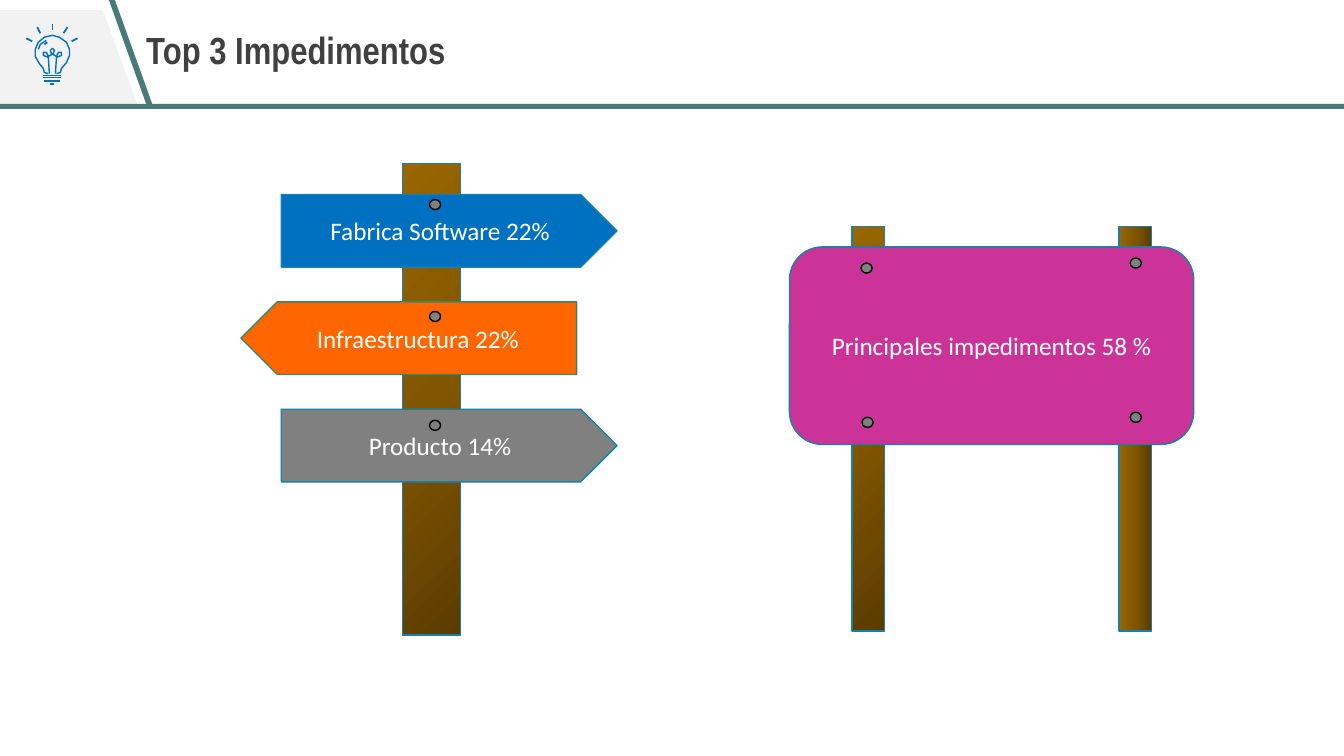
from copy import deepcopy

from lxml.etree import SubElement
from pptx import Presentation
from pptx.dml.color import RGBColor
from pptx.enum.shapes import MSO_CONNECTOR, MSO_SHAPE
from pptx.enum.text import MSO_ANCHOR, PP_ALIGN
from pptx.oxml.ns import qn
from pptx.util import Inches, Pt

WHITE = RGBColor(0xFF, 0xFF, 0xFF)
BLACK = RGBColor(0, 0, 0)
PALE_GREY = RGBColor(0xF2, 0xF2, 0xF2)
GREY = RGBColor(0x80, 0x80, 0x80)
DARK_GREY = RGBColor(0x40, 0x40, 0x40)
TEAL = RGBColor(0x48, 0x7B, 0x78)
BLUE = RGBColor(0x00, 0x70, 0xC0)
ORANGE = RGBColor(0xFF, 0x66, 0x00)
MAGENTA = RGBColor(0xCC, 0x33, 0x99)
EDGE = RGBColor(0x15, 0x80, 0xA9)
GREEN_EDGE = RGBColor(0x31, 0x8A, 0x70)
WOOD = [RGBColor(0x5B, 0x3C, 0x00), RGBColor(0x81, 0x56, 0x00), RGBColor(0x99, 0x66, 0x00)]

BULB_GLASS = [
    (0.48, 0.73), (0.44, 0.72), (0.43, 0.68), (0.39, 0.63), (0.35, 0.56), (0.35, 0.49),
    (0.38, 0.42), (0.44, 0.37), (0.52, 0.35), (0.59, 0.37), (0.66, 0.42), (0.69, 0.49),
    (0.69, 0.55), (0.66, 0.62), (0.61, 0.68), (0.6, 0.72), (0.56, 0.73),
]
BULB_FILAMENT = [
    (0.49, 0.73), (0.48, 0.57), (0.43, 0.55), (0.43, 0.52), (0.46, 0.52), (0.48, 0.56),
    (0.53, 0.53), (0.54, 0.5), (0.52, 0.48), (0.5, 0.5), (0.51, 0.53), (0.56, 0.56),
    (0.58, 0.52), (0.61, 0.52), (0.61, 0.55), (0.56, 0.57), (0.55, 0.73),
]
BULB_GLINT = [(0.38, 0.49), (0.4, 0.44), (0.46, 0.4)]
BULB_STROKES = [
    (0.77, 0.38, 0.71, 0.41), (0.67, 0.27, 0.63, 0.33), (0.52, 0.24, 0.52, 0.3),
    (0.37, 0.27, 0.4, 0.33), (0.26, 0.38, 0.32, 0.41), (0.44, 0.44, 0.47, 0.42),
    (0.43, 0.75, 0.61, 0.75), (0.43, 0.77, 0.61, 0.77), (0.44, 0.8, 0.6, 0.8),
    (0.5, 0.83, 0.54, 0.83),
]


class SignSlide:
    """Draws signposts, boards and header parts on one slide in a shared style."""

    def __init__(self, deck):
        self.slide = deck.slides.add_slide(deck.slide_layouts[5])
        self.shapes = self.slide.shapes

    def title(self, text):
        heading = self.shapes.title
        heading.left, heading.top = Inches(1.27), Inches(0)
        heading.width, heading.height = Inches(9.27), Inches(1.03)
        frame = heading.text_frame
        frame.text = text
        frame.margin_left = Inches(0.18)
        frame.vertical_anchor = MSO_ANCHOR.MIDDLE
        paragraph = frame.paragraphs[0]
        paragraph.alignment = PP_ALIGN.LEFT
        paragraph.line_spacing = 0.9
        self.font(paragraph, "Arial Narrow", 27, DARK_GREY, True)

    def font(self, paragraph, name, size, color, bold=False):
        for run in paragraph.runs:
            run.font.name, run.font.size, run.font.bold = name, Pt(size), bold
            run.font.color.rgb = color

    def paint(self, shape, fill, edge, weight=1):
        shape.shadow.inherit = False
        if fill is None:
            shape.fill.background()
        else:
            shape.fill.solid()
            shape.fill.fore_color.rgb = fill
        if edge is None:
            shape.line.fill.background()
        else:
            shape.line.color.rgb = edge
            shape.line.width = Pt(weight)

    def block(self, kind, left, top, width, height, fill, edge=None):
        shape = self.shapes.add_shape(
            kind, Inches(left), Inches(top), Inches(width), Inches(height))
        self.paint(shape, fill, edge)
        return shape

    def outline(self, points, fill=None, edge=None, close=True):
        corners = [(Inches(x), Inches(y)) for x, y in points]
        builder = self.shapes.build_freeform(*corners[0])
        builder.add_line_segments(corners[1:], close=close)
        self.paint(builder.convert_to_shape(), fill, edge)

    def stroke(self, x1, y1, x2, y2):
        ray = self.shapes.add_connector(
            MSO_CONNECTOR.STRAIGHT, Inches(x1), Inches(y1), Inches(x2), Inches(y2))
        ray.line.color.rgb = BLUE
        ray.line.width = Pt(1.25)
        SubElement(ray._element.spPr, qn("a:effectLst"))

    def post(self, left, top, width, height, angle=135):
        wood = self.block(MSO_SHAPE.RECTANGLE, left, top, width, height, WOOD[0], EDGE)
        wood.fill.gradient()
        wood.fill.gradient_angle = angle
        stops = wood._element.spPr.find(qn("a:gradFill")).find(qn("a:gsLst"))
        stops.insert(1, deepcopy(stops[0]))
        for stop, color, position in zip(wood.fill.gradient_stops, WOOD, (0, 0.5, 1)):
            stop.color.rgb = color
            stop.position = position

    def sign(self, kind, left, top, width, height, text, fill, edge=EDGE, flip=False):
        board = self.block(kind, left, top, width, height, fill, edge)
        if flip:
            board._element.spPr.find(qn("a:xfrm")).set("flipH", "1")
        frame = board.text_frame
        frame.text = text
        frame.word_wrap = True
        frame.vertical_anchor = MSO_ANCHOR.MIDDLE
        frame.paragraphs[0].alignment = PP_ALIGN.CENTER
        self.font(frame.paragraphs[0], "Calibri", 18, WHITE)

    def nail(self, left, top):
        self.block(MSO_SHAPE.OVAL, left, top, 0.11, 0.1, GREY, BLACK)


def main():
    deck = Presentation()
    deck.slide_width, deck.slide_height = Inches(13.33), Inches(7.5)
    page = SignSlide(deck)

    page.outline([(0, 0.1), (1.02, 0.1), (1.36, 1.03), (0, 1.03)], PALE_GREY)
    page.outline(BULB_GLASS, edge=BLUE, close=False)
    page.outline(BULB_FILAMENT, edge=BLUE, close=False)
    page.outline(BULB_GLINT, edge=BLUE, close=False)
    for ends in BULB_STROKES:
        page.stroke(*ends)
    page.block(MSO_SHAPE.RECTANGLE, 0, 1.03, 13.33, 0.05, TEAL)
    page.outline([(1.08, 0), (1.14, 0), (1.51, 1.03), (1.45, 1.03)], TEAL)
    page.title("Top 3 Impedimentos")

    page.post(11.1, 2.25, 0.32, 4.01, angle=180)
    page.post(8.45, 2.25, 0.32, 4.01)
    page.sign(MSO_SHAPE.ROUNDED_RECTANGLE, 7.83, 2.45, 4.01, 1.96,
              "Principales impedimentos 58 %", MAGENTA)
    for left, top in [(8.54, 2.61), (11.21, 2.56), (8.55, 4.14), (11.21, 4.09)]:
        page.nail(left, top)

    page.post(3.99, 1.62, 0.58, 4.68)
    arrows = [
        ("Fabrica Software 22%", 2.79, BLUE, EDGE, False, 1.98),
        ("Infraestructura 22%", 2.39, ORANGE, GREEN_EDGE, True, 3.09),
        ("Producto 14%", 2.79, GREY, EDGE, False, 4.17),
    ]
    for row, (text, left, fill, edge, flip, nail_top) in enumerate(arrows):
        page.sign(MSO_SHAPE.PENTAGON, left, 1.93 + row * 1.065, 3.33, 0.72,
                  text, fill, edge, flip)
        page.nail(4.26, nail_top)

    deck.save("out.pptx")


if __name__ == "__main__":
    main()
